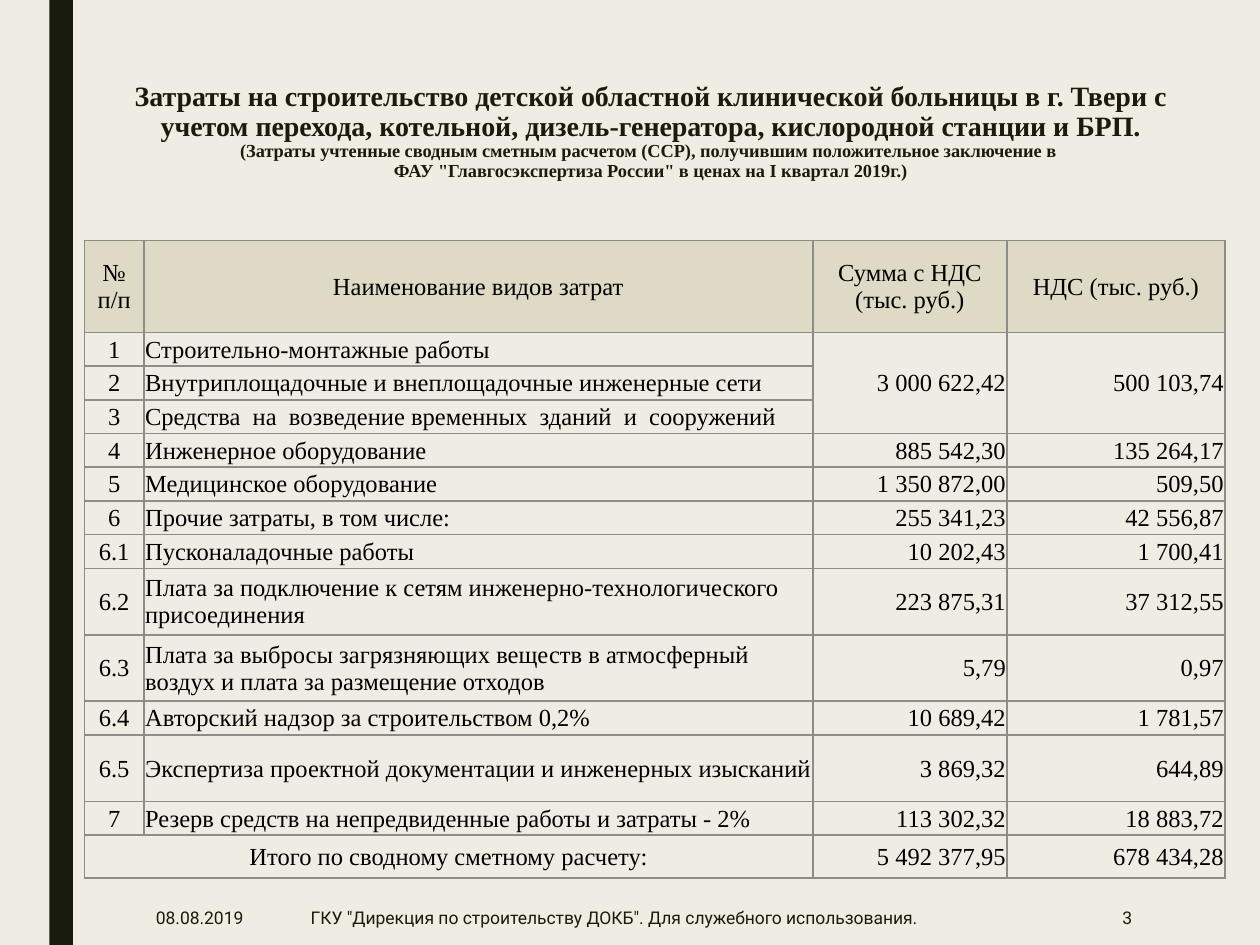
from lxml.etree import fromstring
from pptx import Presentation
from pptx.dml.color import RGBColor
from pptx.enum.shapes import MSO_SHAPE
from pptx.enum.text import MSO_ANCHOR, PP_ALIGN
from pptx.util import Pt

BACKGROUND = RGBColor(0xEF, 0xED, 0xE3)
DARK = RGBColor(0x19, 0x1B, 0x0E)
BLACK = RGBColor(0x00, 0x00, 0x00)
HEADER_FILL = RGBColor(0xDE, 0xDA, 0xC5)
BORDER = RGBColor(0x8C, 0x8D, 0x86)
SERIF = "Times New Roman"
SANS = "Roboto"
NAMESPACE = "http://schemas.openxmlformats.org/drawingml/2006/main"

TITLE = (
    "Затраты на строительство детской областной клинической больницы в г. Твери с "
    "учетом перехода, котельной, дизель-генератора, кислородной станции и БРП."
)
SUBTITLE = [
    "(Затраты учтенные сводным сметным расчетом (ССР), получившим положительное заключение в ",
    'ФАУ "Главгосэкспертиза России" в ценах на I квартал 2019г.)',
]
COLUMN_WIDTHS = [34, 382.25, 111, 124.5]
HEADER_HEIGHT, LINE_HEIGHT, DOUBLE_HEIGHT, TOTAL_HEIGHT = 52.5, 19.25, 38, 24.5
HEADERS = ["№ п/п", "Наименование видов затрат", "Сумма с НДС (тыс. руб.)", "НДС (тыс. руб.)"]
COSTS = [
    ["1", "Строительно-монтажные работы", "3 000 622,42", "500 103,74"],
    ["2", "Внутриплощадочные и внеплощадочные инженерные сети", "", ""],
    ["3", "Средства  на  возведение временных  зданий  и  сооружений", "", ""],
    ["4", "Инженерное оборудование", "885 542,30", "135 264,17"],
    ["5", "Медицинское оборудование", "1 350 872,00", "509,50"],
    ["6", "Прочие затраты, в том числе:", "255 341,23", "42 556,87"],
    ["6.1", "Пусконаладочные работы", "10 202,43", "1 700,41"],
    ["6.2", "Плата за подключение к сетям инженерно-технологического присоединения",
     "223 875,31", "37 312,55"],
    ["6.3", "Плата за выбросы загрязняющих веществ в атмосферный воздух и плата за размещение отходов",
     "5,79", "0,97"],
    ["6.4", "Авторский надзор за строительством 0,2%", "10 689,42", "1 781,57"],
    ["6.5", "Экспертиза проектной документации и инженерных изысканий", "3 869,32", "644,89"],
    ["7", "Резерв средств на непредвиденные работы и затраты - 2%", "113 302,32", "18 883,72"],
]
TOTAL = ["Итого по сводному сметному расчету:", "", "5 492 377,95", "678 434,28"]
TALL_ITEMS = {"6.2", "6.3", "6.5"}


def add_text(paragraph, text, size, font=SERIF, color=BLACK, bold=False, align=PP_ALIGN.LEFT):
    """Append a formatted run to a paragraph."""
    paragraph.alignment = align
    run = paragraph.add_run()
    run.text = text
    run.font.size = Pt(size)
    run.font.name = font
    run.font.bold = bold
    run.font.color.rgb = color


def add_text_frame(slide, left, top, width, height, anchor):
    """Add a wrapping text box and return its text frame."""
    frame = slide.shapes.add_textbox(Pt(left), Pt(top), Pt(width), Pt(height)).text_frame
    frame.word_wrap = True
    frame.vertical_anchor = anchor
    return frame


def add_side_bar(slide, left, top, width, height):
    """Draw the dark vertical bar."""
    bar = slide.shapes.add_shape(MSO_SHAPE.RECTANGLE, Pt(left), Pt(top), Pt(width), Pt(height))
    bar.shadow.inherit = False
    bar.fill.solid()
    bar.fill.fore_color.rgb = DARK
    bar.line.fill.background()


def add_title(slide, left, top, width, height):
    """Write the heading with its smaller explanatory lines."""
    paragraph = add_text_frame(slide, left, top, width, height, MSO_ANCHOR.TOP).paragraphs[0]
    paragraph.line_spacing = 0.89
    style = {"color": DARK, "bold": True, "align": PP_ALIGN.CENTER}
    add_text(paragraph, TITLE, 16, **style)
    for line in SUBTITLE:
        paragraph.add_line_break()
        add_text(paragraph, line, 10.5, **style)


def add_borders(cell):
    """Give a cell a thin line on all four sides."""
    properties = cell._tc.get_or_add_tcPr()
    for position, side in enumerate(("lnL", "lnR", "lnT", "lnB")):
        properties.insert(position, fromstring(
            f'<a:{side} xmlns:a="{NAMESPACE}" w="{Pt(1)}"><a:solidFill>'
            f'<a:srgbClr val="{BORDER}"/></a:solidFill></a:{side}>'
        ))


def format_cell(cell, text, align, fill):
    """Fill one cell with text, margins, background and borders."""
    cell.margin_left = cell.margin_right = cell.margin_top = Pt(0.7)
    cell.margin_bottom = Pt(0)
    cell.vertical_anchor = MSO_ANCHOR.MIDDLE
    if fill is None:
        cell.fill.background()
    else:
        cell.fill.solid()
        cell.fill.fore_color.rgb = fill
    add_borders(cell)
    paragraph = cell.text_frame.paragraphs[0]
    paragraph.font.size = Pt(14)
    if text:
        add_text(paragraph, text, 14, align=align)


def add_cost_table(slide, left, top):
    """Build the table of costs with its merged sums and total row."""
    rows = [HEADERS, *COSTS, TOTAL]
    item_heights = [DOUBLE_HEIGHT if row[0] in TALL_ITEMS else LINE_HEIGHT for row in COSTS]
    heights = [HEADER_HEIGHT, *item_heights, TOTAL_HEIGHT]
    table = slide.shapes.add_table(
        len(rows), len(COLUMN_WIDTHS), Pt(left), Pt(top), Pt(sum(COLUMN_WIDTHS)), Pt(sum(heights))
    ).table
    table.first_row = table.horz_banding = False
    for column, width in zip(table.columns, COLUMN_WIDTHS):
        column.width = Pt(width)
    item_aligns = [PP_ALIGN.CENTER, PP_ALIGN.LEFT, PP_ALIGN.RIGHT, PP_ALIGN.RIGHT]
    for row_index, (row, height) in enumerate(zip(rows, heights)):
        table.rows[row_index].height = Pt(height)
        is_header = row_index == 0
        aligns = [PP_ALIGN.CENTER] * len(row) if is_header else item_aligns
        for column_index, (text, align) in enumerate(zip(row, aligns)):
            fill = HEADER_FILL if is_header else None
            format_cell(table.cell(row_index, column_index), text, align, fill)
    for column_index in (2, 3):
        table.cell(1, column_index).merge(table.cell(3, column_index))
    last_row = len(rows) - 1
    table.cell(last_row, 0).merge(table.cell(last_row, 1))


def add_footer(slide, top, height):
    """Write the date, the organisation and the slide number."""
    parts = [
        (82, 71.5, "08.08.2019", PP_ALIGN.LEFT),
        (170.5, 371, 'ГКУ "Дирекция по строительству ДОКБ". Для служебного использования.',
         PP_ALIGN.LEFT),
        (559.5, 94.5, "3", PP_ALIGN.RIGHT),
    ]
    for left, width, text, align in parts:
        frame = add_text_frame(slide, left, top, width, height, MSO_ANCHOR.MIDDLE)
        add_text(frame.paragraphs[0], text, 10, font=SANS, color=DARK, align=align)


def main():
    """Build and save the presentation."""
    presentation = Presentation()
    presentation.slide_width, presentation.slide_height = Pt(720), Pt(540)
    slide = presentation.slides.add_slide(presentation.slide_layouts[6])
    slide.background.fill.solid()
    slide.background.fill.fore_color.rgb = BACKGROUND
    add_side_bar(slide, 28.25, 0, 13.5, 540)
    add_title(slide, 48, 43.5, 648, 27)
    add_cost_table(slide, 48.25, 137.5)
    add_footer(slide, 508.5, 31.5)
    presentation.save("out.pptx")


if __name__ == "__main__":
    main()
